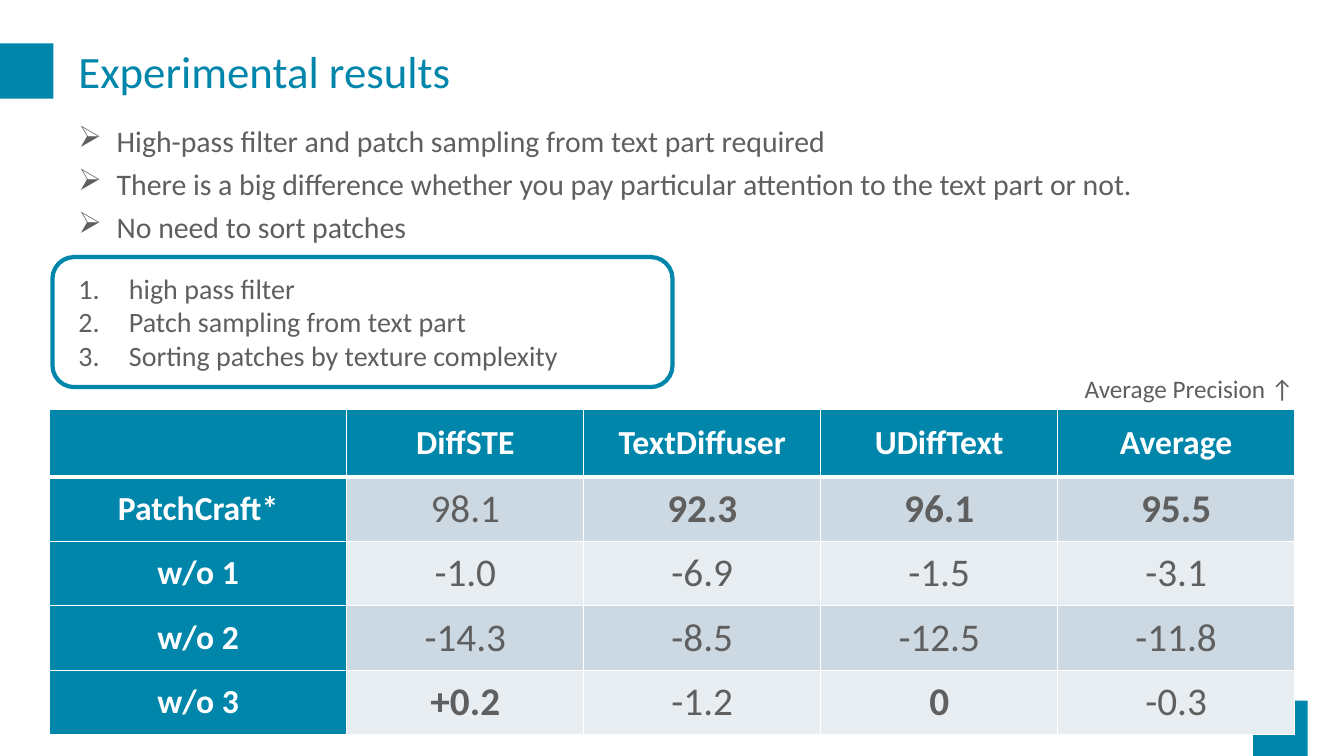
"""Build the experimental results slide with its ablation table."""
from dataclasses import dataclass

import lxml.etree
import pptx
import pptx.dml.color
import pptx.enum.shapes
import pptx.enum.text
import pptx.oxml.ns
import pptx.util

Inches = pptx.util.Inches
RGBColor = pptx.dml.color.RGBColor
Anchor = pptx.enum.text.MSO_ANCHOR
Align = pptx.enum.text.PP_ALIGN
Shape = pptx.enum.shapes.MSO_SHAPE
qn = pptx.oxml.ns.qn

TEAL = RGBColor(0x00, 0x86, 0xAB)
GRAY = RGBColor(0x5F, 0x5F, 0x5F)
WHITE = RGBColor(0xFF, 0xFF, 0xFF)
BAND_DARK = RGBColor(0xCC, 0xD9, 0xE2)
BAND_LIGHT = RGBColor(0xE7, 0xED, 0xF1)
FONT = "Calibri"


@dataclass(frozen=True)
class Area:
    left: float
    top: float
    width: float
    height: float

    def lengths(self) -> tuple:
        return tuple(Inches(n) for n in (self.left, self.top, self.width, self.height))


@dataclass(frozen=True)
class TextBlock:
    area: Area
    lines: tuple[str, ...]
    size: float
    color: RGBColor = GRAY
    anchor: Anchor = Anchor.TOP
    spacing: float = 1.0
    indent: float = 0
    bullet: tuple[str, str, str] | None = None
    wrap: bool = True


@dataclass(frozen=True)
class ResultRow:
    label: str
    scores: tuple[str, ...]
    best: tuple[int, ...] = ()


ACCENTS = (Area(12.43, 6.95, 0.54, 0.55), Area(-0.01, 0.43, 0.54, 0.55))
FRAME = Area(0.52, 2.55, 6.15, 1.29)
TEXTS = (
    TextBlock(Area(0.68, 0.34, 12.17, 0.79), ("Experimental results",), 32, TEAL,
              Anchor.MIDDLE, 0.9),
    TextBlock(Area(0.68, 1.06, 12.17, 1.45), (
        "High-pass filter and patch sampling from text part required",
        "There is a big difference whether you pay particular attention to the text part or not.",
        "No need to sort patches",
    ), 21.3, anchor=Anchor.MIDDLE, spacing=1.2, indent=0.38, bullet=("buChar", "char", "➢")),
    TextBlock(Area(10.66, 3.65, 2.3, 0.4), ("Average Precision ↑",), 18, wrap=False),
    TextBlock(Area(0.68, 2.64, 5.99, 1.11), (
        "high pass filter",
        "Patch sampling from text part",
        "Sorting patches by texture complexity",
    ), 20, indent=0.5, bullet=("buAutoNum", "type", "arabicPeriod")),
)
TABLE_AREA = Area(0.49, 4.06, 12.35, 3.23)
LABEL_WIDTH, SCORE_WIDTH = 2.95, 2.35
HEADER_HEIGHT, ROW_HEIGHT = 0.67, 0.64
HEADERS = ("", "DiffSTE", "TextDiffuser", "UDiffText", "Average")
RESULTS = (
    ResultRow("PatchCraft*", ("98.1", "92.3", "96.1", "95.5"), (1, 2, 3)),
    ResultRow("w/o 1", ("-1.0", "-6.9", "-1.5", "-3.1")),
    ResultRow("w/o 2", ("-14.3", "-8.5", "-12.5", "-11.8")),
    ResultRow("w/o 3", ("+0.2", "-1.2", "0", "-0.3"), (0, 2)),
)


def style_font(font, size: float, color: RGBColor, bold: bool = False) -> None:
    font.name = FONT
    font.size = pptx.util.Pt(size)
    font.bold = bold
    font.color.rgb = color


def draw_accent(page, area: Area) -> None:
    square = page.shapes.add_shape(Shape.RECTANGLE, *area.lengths())
    square.shadow.inherit = False
    square.fill.solid()
    square.fill.fore_color.rgb = TEAL
    square.line.fill.background()


def draw_frame(page, area: Area) -> None:
    frame = page.shapes.add_shape(Shape.ROUNDED_RECTANGLE, *area.lengths())
    frame.shadow.inherit = False
    frame.fill.background()
    frame.line.color.rgb = TEAL
    frame.line.width = pptx.util.Pt(3)


def draw_text(page, block: TextBlock) -> None:
    frame = page.shapes.add_textbox(*block.area.lengths()).text_frame
    frame.word_wrap = block.wrap
    frame.vertical_anchor = block.anchor
    frame.text = "\n".join(block.lines)
    for paragraph in frame.paragraphs:
        paragraph.line_spacing = block.spacing
        if block.bullet:
            tag, attribute, value = block.bullet
            properties = paragraph._p.get_or_add_pPr()
            properties.set("marL", str(Inches(block.indent)))
            properties.set("indent", str(-Inches(block.indent)))
            lxml.etree.SubElement(properties, qn(f"a:{tag}")).set(attribute, value)
        style_font(paragraph.font, block.size, block.color)


def add_border(cell, side: str, points: float) -> None:
    line = lxml.etree.SubElement(cell._tc.get_or_add_tcPr(), qn(f"a:ln{side}"))
    line.set("w", str(pptx.util.Pt(points)))
    fill = lxml.etree.SubElement(line, qn("a:solidFill"))
    lxml.etree.SubElement(fill, qn("a:srgbClr")).set("val", str(WHITE))


def fill_cell(table, row: int, column: int, text: str, best: bool = False) -> None:
    cell = table.cell(row, column)
    heading = row == 0 or column == 0
    for side in "LRTB":
        header_edge = (row, side) in ((0, "B"), (1, "T"))
        add_border(cell, side, 3 if header_edge else 1)
    cell.fill.solid()
    cell.fill.fore_color.rgb = TEAL if heading else BAND_DARK if row % 2 else BAND_LIGHT
    cell.vertical_anchor = Anchor.MIDDLE
    cell.text = text
    paragraph = cell.text_frame.paragraphs[0]
    paragraph.alignment = Align.CENTER
    style_font(paragraph.font, 24 if heading else 28, WHITE if heading else GRAY, heading or best)


def draw_table(page) -> None:
    table = page.shapes.add_table(
        len(RESULTS) + 1, len(HEADERS), *TABLE_AREA.lengths()).table
    for index, column in enumerate(table.columns):
        column.width = Inches(SCORE_WIDTH if index else LABEL_WIDTH)
    for index, row in enumerate(table.rows):
        row.height = Inches(ROW_HEIGHT if index else HEADER_HEIGHT)
    for column, header in enumerate(HEADERS):
        fill_cell(table, 0, column, header)
    for row, result in enumerate(RESULTS, 1):
        fill_cell(table, row, 0, result.label)
        for index, score in enumerate(result.scores):
            fill_cell(table, row, index + 1, score, index in result.best)


def main() -> None:
    deck = pptx.Presentation()
    deck.slide_width, deck.slide_height = Inches(13.33), Inches(7.5)
    page = deck.slides.add_slide(deck.slide_layouts[6])
    for area in ACCENTS:
        draw_accent(page, area)
    draw_table(page)
    for block in TEXTS:
        draw_text(page, block)
    draw_frame(page, FRAME)
    deck.save("out.pptx")


if __name__ == "__main__":
    main()
